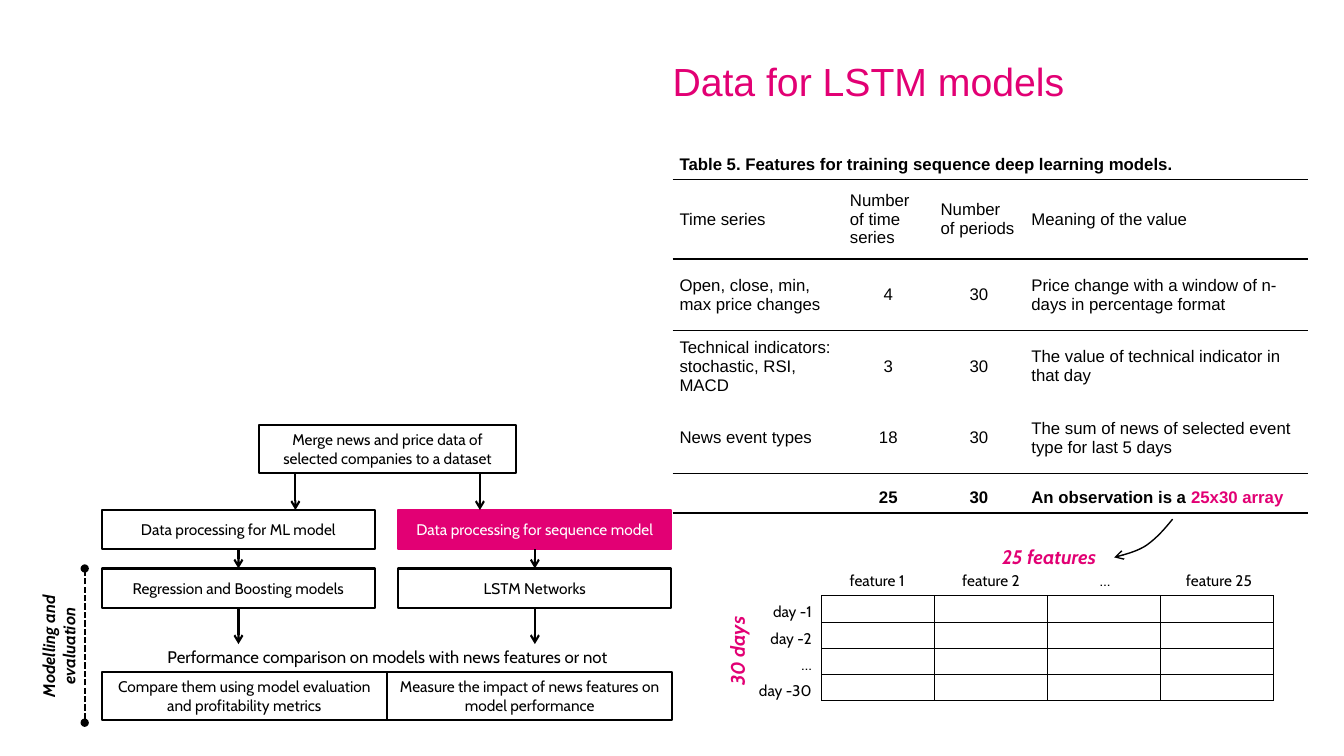
from lxml.etree import SubElement
from pptx import Presentation
from pptx.dml.color import RGBColor
from pptx.enum.dml import MSO_LINE
from pptx.enum.shapes import MSO_CONNECTOR, MSO_SHAPE
from pptx.enum.text import MSO_ANCHOR, PP_ALIGN
from pptx.oxml.ns import qn
from pptx.util import Inches, Pt

BLACK, WHITE, PINK = "000000", "FFFFFF", "E20074"
LEFT, CENTER, RIGHT = PP_ALIGN.LEFT, PP_ALIGN.CENTER, PP_ALIGN.RIGHT
NO_STYLE = "{2D5ABB26-0587-4C30-8999-92F81FD0307C}"

TITLE = "Data for LSTM models"
FEATURE_ROWS = [
    ["Table 5. Features for training sequence deep learning models.", "", "", ""],
    ["Time series", "Number of time series", "Number of periods", "Meaning of the value"],
    ["Open, close, min, max price changes", "4", "30",
     "Price change with a window of n-days in percentage format"],
    ["Technical indicators: stochastic, RSI, MACD", "3", "30",
     "The value of technical indicator in that day"],
    ["News event types", "18", "30", "The sum of news of selected event type for last 5 days"],
    ["", "25", "30", "An observation is a |25x30 array"],
]
COLUMN_WIDTHS = [1.69, 0.9, 0.9, 2.81]
ROW_HEIGHTS = [0.39, 0.79, 0.71, 0.71, 0.71, 0.39]
RULES_BELOW = {0: 1.5, 1: 1, 4: 1, 5: 1}

BOX_WIDTH, BOX_HEIGHT = 2.71, 0.39
BRANCHES = [
    (1.01, 2.93, "Data processing for ML model", "Regression and Boosting models", None),
    (3.95, 4.76, "Data processing for sequence model", "LSTM Networks", PINK),
]
MERGE = "Merge news and price data of selected companies to a dataset"
COMPARISONS = [
    "Compare them using model evaluation and profitability metrics",
    "Measure the impact of news features on model performance",
]
DAYS = ["day -1", "day -2", "…", "day -30"]
FEATURES = ["feature 1", "feature 2", "…", "feature 25"]
GRID_LEFT, GRID_TOP, GRID_COLUMN, GRID_ROW = 8.15, 5.91, 1.12, 0.26
ARROW_CURVES = [
    [(11.63, 5.15), (11.55, 5.25), (11.47, 5.34), (11.37, 5.41)],
    [(11.37, 5.41), (11.28, 5.47), (11.16, 5.5), (11.05, 5.53)],
]
CURVE_STEPS = 12


def color(value):
    return RGBColor.from_string(value)


def style_text(frame, text, size, tone=BLACK, font="Cabin", align=CENTER,
               anchor=MSO_ANCHOR.MIDDLE, strong=False, slanted=False, spacing=None):
    frame.word_wrap = True
    frame.vertical_anchor = anchor
    paragraph = frame.paragraphs[0]
    paragraph.text = text
    paragraph.alignment = align
    if spacing:
        paragraph.line_spacing = spacing
    paragraph.font.size = Pt(size)
    paragraph.font.name = font
    paragraph.font.bold = strong
    paragraph.font.italic = slanted
    paragraph.font.color.rgb = color(tone)


def add_label(shapes, place, text, size, rotation=0, **style):
    label = shapes.add_textbox(*map(Inches, place))
    label.rotation = rotation
    style_text(label.text_frame, text, size, **style)
    return label


def add_box(place, text, fill=None):
    box = slide.shapes.add_shape(MSO_SHAPE.RECTANGLE, *map(Inches, place))
    box.shadow.inherit = False
    box.line.color.rgb = color(fill or BLACK)
    box.line.width = Pt(1.5)
    if fill:
        box.fill.solid()
        box.fill.fore_color.rgb = color(fill)
    else:
        box.fill.background()
    style_text(box.text_frame, text, 11, WHITE if fill else BLACK)
    return box


def add_ends(line, **ends):
    for end in ("headEnd", "tailEnd"):
        if end in ends:
            SubElement(line._get_or_add_ln(), qn("a:" + end), type=ends[end])


def add_line(x, top, bottom, **ends):
    points = map(Inches, (x, top, x, bottom))
    connector = slide.shapes.add_connector(MSO_CONNECTOR.STRAIGHT, *points)
    connector.line.color.rgb = color(BLACK)
    connector.line.width = Pt(1.5)
    SubElement(connector._element.spPr, qn("a:effectLst"))
    add_ends(connector.line, **ends)
    return connector


def add_borders(cell, **widths):
    properties = cell._tc.get_or_add_tcPr()
    for index, side in enumerate(side for side in ("lnL", "lnR", "lnT", "lnB") if side in widths):
        border = properties.makeelement(qn("a:" + side), {"w": str(Pt(widths[side]))})
        fill = SubElement(border, qn("a:solidFill"))
        SubElement(fill, qn("a:srgbClr"), val=BLACK)
        properties.insert(index, border)


def add_plain_table(left, top, widths, heights, margin):
    frame = slide.shapes.add_table(len(heights), len(widths), Inches(left), Inches(top),
                                   Inches(sum(widths)), Inches(sum(heights)))
    table = frame.table
    table.first_row = table.horz_banding = False
    table._tbl.tblPr.find(qn("a:tableStyleId")).text = NO_STYLE
    for column, width in zip(table.columns, widths):
        column.width = Inches(width)
    for row, height in zip(table.rows, heights):
        row.height = Inches(height)
    for cell in table.iter_cells():
        cell.fill.background()
        cell.margin_left = cell.margin_right = Inches(margin)
        cell.margin_top = cell.margin_bottom = 0
        cell.vertical_anchor = MSO_ANCHOR.MIDDLE
    return table


def size_empty_cell(cell):
    SubElement(cell.text_frame.paragraphs[0]._p, qn("a:endParaRPr"), sz="800")


def add_feature_table():
    table = add_plain_table(6.67, 1.39, COLUMN_WIDTHS, ROW_HEIGHTS, 0.07)
    table.cell(0, 0).merge(table.cell(0, 3))
    last = len(FEATURE_ROWS) - 1
    for r, row in enumerate(FEATURE_ROWS):
        for c, text in enumerate(row):
            cell = table.cell(r, c)
            strong = r in (0, last)
            if text:
                start, _, accent = text.partition("|")
                style_text(cell.text_frame, start, 12, font="Arial",
                           align=CENTER if r > 1 and c in (1, 2) else LEFT,
                           strong=strong, spacing=1.5 if strong else None)
                if accent:
                    run = cell.text_frame.paragraphs[0].add_run()
                    run.text = accent
                    run.font.color.rgb = color(PINK)
            else:
                size_empty_cell(cell)
            rules = {}
            if r - 1 in RULES_BELOW:
                rules["lnT"] = RULES_BELOW[r - 1]
            if r in RULES_BELOW:
                rules["lnB"] = RULES_BELOW[r]
            add_borders(cell, **rules)


def add_flow():
    add_box((2.57, 4.22, 2.55, 0.47), MERGE)
    for left, entry, processing, model, fill in BRANCHES:
        middle = left + BOX_WIDTH / 2
        upper = add_box((left, 5.06, BOX_WIDTH, BOX_HEIGHT), processing, fill)
        lower = add_box((left, 5.64, BOX_WIDTH, BOX_HEIGHT), model)
        add_line(entry, 4.7, 5.06, tailEnd="arrow")
        link = add_line(middle, 5.45, 5.64, tailEnd="arrow")
        link.begin_connect(upper, 2)
        link.end_connect(lower, 0)
        add_line(middle, 6.03, 6.39, tailEnd="arrow").begin_connect(lower, 2)
    for index, text in enumerate(COMPARISONS):
        add_box((1.01 + 2.83 * index, 6.67, 2.83, 0.47), text)
    add_label(slide.shapes, (1.02, 6.37, 5.65, 0.3),
              "Performance comparison on models with news features or not", 12)
    add_label(slide.shapes, (-0.08, 6.26, 1.52, 0.3), "Modelling and evaluation", 12,
              rotation=270, anchor=MSO_ANCHOR.BOTTOM, strong=True, slanted=True)
    stage = add_line(0.84, 7.17, 5.64, headEnd="oval", tailEnd="oval")
    stage.line.dash_style = MSO_LINE.SQUARE_DOT


def add_array():
    accent = dict(tone=PINK, strong=True, slanted=True)
    add_label(slide.shapes, (6.84, 6.34, 0.94, 0.24), "30 days", 14, rotation=270, **accent)
    add_label(slide.shapes, (9.76, 5.4, 1.29, 0.24), "25 features", 14, **accent)
    for index, day in enumerate(DAYS):
        add_label(slide.shapes, (7.21, 5.95 + GRID_ROW * index, 0.94, 0.24), day, 11, align=RIGHT)
    header = slide.shapes.add_group_shape()
    for index, feature in enumerate(FEATURES):
        add_label(header.shapes, (8.23 + 1.13 * index, 5.64, 0.94, 0.24), feature, 11)
    grid = add_plain_table(GRID_LEFT, GRID_TOP, [GRID_COLUMN] * 4, [GRID_ROW] * 4, 0)
    for cell in grid.iter_cells():
        size_empty_cell(cell)
        add_borders(cell, lnL=0.5, lnR=0.5, lnT=0.5, lnB=0.5)


def curve_point(curve, t):
    weights = ((1 - t) ** 3, 3 * t * (1 - t) ** 2, 3 * t ** 2 * (1 - t), t ** 3)
    return tuple(Inches(sum(w * p[axis] for w, p in zip(weights, curve))) for axis in (0, 1))


def add_curved_arrow():
    points = [curve_point(curve, step / CURVE_STEPS)
              for curve in ARROW_CURVES for step in range(1, CURVE_STEPS + 1)]
    builder = slide.shapes.build_freeform(*curve_point(ARROW_CURVES[0], 0))
    builder.add_line_segments(points, close=False)
    arrow = builder.convert_to_shape()
    arrow.shadow.inherit = False
    arrow.fill.background()
    arrow.line.color.rgb = color(BLACK)
    arrow.line.width = Pt(1)
    add_ends(arrow.line, tailEnd="arrow")


presentation = Presentation()
presentation.slide_width, presentation.slide_height = Inches(13.33), Inches(7.5)
slide = presentation.slides.add_slide(presentation.slide_layouts[6])
title = add_label(slide.shapes, (6.67, 0.44, 5.98, 0.79), TITLE, 28, tone=PINK,
                  font="Arial", align=LEFT, spacing=0.9).text_frame
title.margin_left = title.margin_right = title.margin_top = title.margin_bottom = 0
add_feature_table()
add_flow()
add_array()
add_curved_arrow()
presentation.save("out.pptx")
